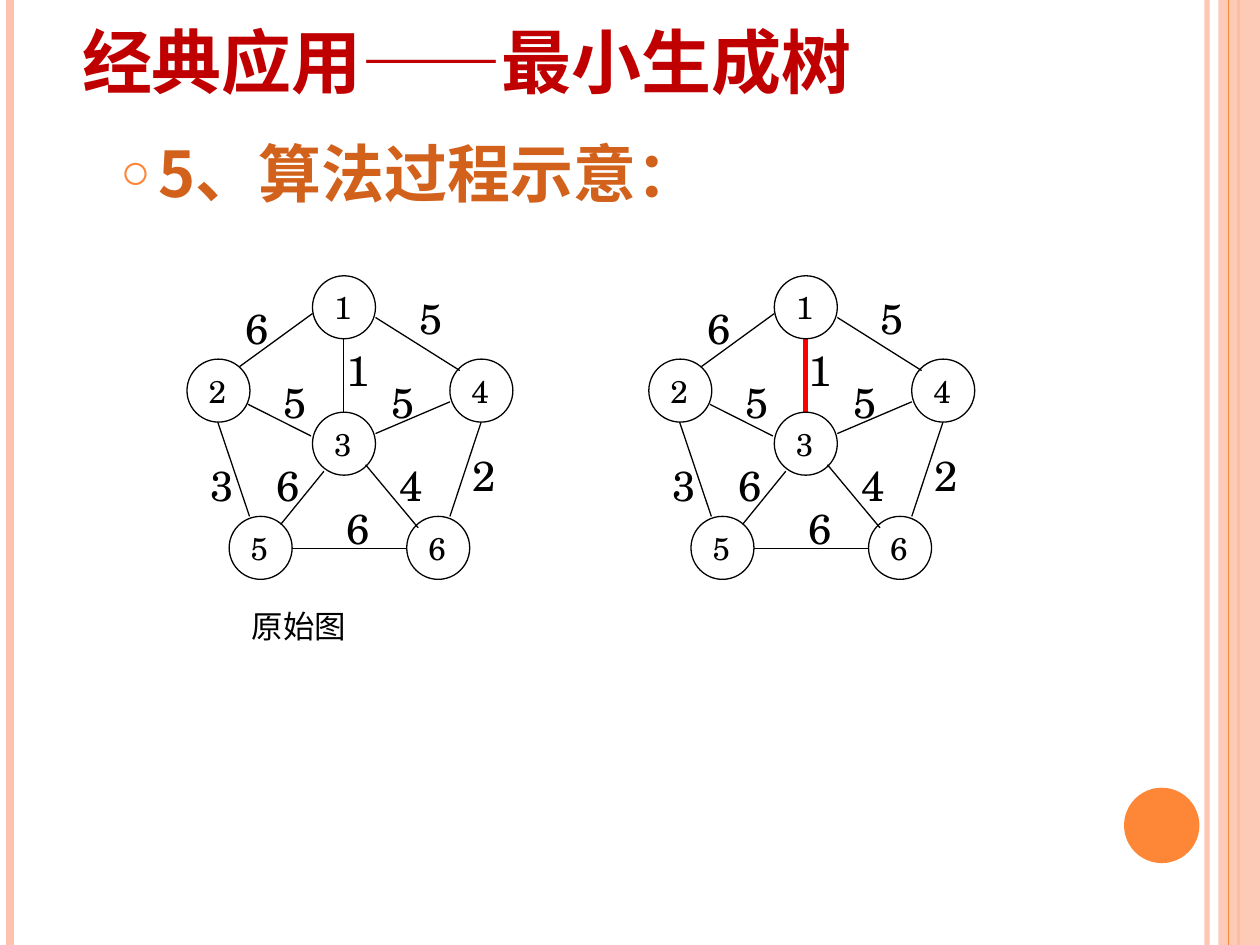
import pptx
import pptx.dml.color
import pptx.enum.shapes
import pptx.enum.text
import pptx.oxml.ns
import pptx.util
from lxml import etree
from pptx.util import Cm, Pt

ANCHOR = pptx.enum.text.MSO_ANCHOR
ALIGN = pptx.enum.text.PP_ALIGN
AUTO_SIZE = pptx.enum.text.MSO_AUTO_SIZE
SHAPE = pptx.enum.shapes.MSO_SHAPE
qn = pptx.oxml.ns.qn

SERIF, CHINESE = "TeX Gyre Schola", "Noto Sans CJK SC"
BLACK, RED, ORANGE, PEACH = "000000", "FF0000", "FE8637", "FEC3AE"

NODE_SIZE = 1.27
NODES = {"1": (6.3, 5.56), "2": (3.77, 7.24), "3": (6.3, 8.31),
         "4": (9.07, 7.24), "5": (4.62, 10.41), "6": (8.2, 10.41)}
# nodes joined, weight, line ends, top left of the weight label
EDGES = [
    ("12", "6", (4.83, 7.39, 6.3, 6.32), (4.7, 5.97)),
    ("35", "6", (5.66, 10.57, 6.53, 9.5), (5.33, 9.14)),
    ("34", "5", (7.57, 8.74, 9.07, 8.1), (7.65, 7.47)),
    ("23", "5", (5, 8.15, 6.27, 8.79), (5.46, 7.47)),
    ("14", "5", (7.57, 6.4, 9.27, 7.47), (8.2, 5.77)),
    ("46", "2", (9.07, 10.41, 9.7, 8.51), (9.27, 8.94)),
    ("25", "3", (5.03, 10.41, 4.39, 8.51), (3.99, 9.14)),
    ("56", "6", (5.89, 11.05, 8.2, 11.05), (6.73, 10.01)),
    ("13", "1", (6.93, 8.31, 6.93, 6.83), (6.73, 6.83)),
    ("36", "4", (7.37, 9.37, 8.43, 10.64), (7.8, 9.14)),
]


def color(value):
    return pptx.dml.color.RGBColor.from_string(value)


def add_text(paragraph, text, size=18, font=SERIF, fill=BLACK, bold=False):
    run = paragraph.add_run()
    run.text = text
    run.font.size = Pt(size)
    run.font.name = font
    run.font.bold = bold
    run.font.color.rgb = color(fill)
    latin = run.font._element.find(qn("a:latin"))
    east_asian = etree.Element(qn("a:ea"), typeface=CHINESE)
    latin.addnext(east_asian)


def set_opacity(shape, percent):
    for element in shape._element.spPr.iter(qn("a:srgbClr")):
        etree.SubElement(element, qn("a:alpha"), val=str(percent * 1000))


def add_bullet(paragraph, character, fill, indent):
    properties = paragraph._p.get_or_add_pPr()
    properties.set("marL", str(Cm(indent)))
    properties.set("indent", str(-Cm(indent)))
    bullet_color = etree.SubElement(properties, qn("a:buClr"))
    etree.SubElement(bullet_color, qn("a:srgbClr"), val=fill)
    etree.SubElement(properties, qn("a:buSzPct"), val="80000")
    etree.SubElement(properties, qn("a:buFont"), typeface="Arial")
    etree.SubElement(properties, qn("a:buChar"), char=character)


class SlideBuilder:
    def __init__(self, slide):
        self.slide = slide

    def title(self, runs, left, top, width, height):
        """Fill the title with (text, font) runs."""
        title = self.slide.shapes.title
        title.left, title.top = Cm(left), Cm(top)
        title.width, title.height = Cm(width), Cm(height)
        frame = title.text_frame
        frame.auto_size = AUTO_SIZE.NONE
        frame.vertical_anchor = ANCHOR.BOTTOM
        paragraph = frame.paragraphs[0]
        paragraph.alignment = ALIGN.LEFT
        for text, font in runs:
            add_text(paragraph, text, size=40, font=font, fill="C00000", bold=True)

    def line(self, x1, y1, x2, y2, fill=BLACK, width=0.75):
        line = self.slide.shapes.add_connector(
            pptx.enum.shapes.MSO_CONNECTOR.STRAIGHT, Cm(x1), Cm(y1), Cm(x2), Cm(y2))
        line.line.color.rgb = color(fill)
        line.line.width = Pt(width)
        etree.SubElement(line._element.spPr, qn("a:effectLst"))
        return line

    def shape(self, kind, left, top, width, height, fill=None, outline=None):
        shape = self.slide.shapes.add_shape(
            kind, Cm(left), Cm(top), Cm(width), Cm(height))
        shape.shadow.inherit = False
        if fill:
            shape.fill.solid()
            shape.fill.fore_color.rgb = color(fill)
        else:
            shape.fill.background()
        if outline:
            shape.line.color.rgb = color(outline)
            shape.line.width = Pt(0.75)
        else:
            shape.line.fill.background()
        return shape

    def text_box(self, text, left, top, width, height, **text_format):
        box = self.slide.shapes.add_textbox(Cm(left), Cm(top), Cm(width), Cm(height))
        box.text_frame.word_wrap = True
        paragraph = box.text_frame.paragraphs[0]
        add_text(paragraph, text, **text_format)
        return paragraph

    def node(self, name, left, top):
        circle = self.shape(SHAPE.OVAL, left, top, NODE_SIZE, NODE_SIZE, outline=BLACK)
        frame = circle.text_frame
        frame.word_wrap = False
        frame.vertical_anchor = ANCHOR.MIDDLE
        paragraph = frame.paragraphs[0]
        paragraph.alignment = ALIGN.LEFT
        add_text(paragraph, name)

    def graph(self, offset=0, tree=()):
        """Draw the weighted graph, with the edges of the tree in red."""
        for ends, weight, (x1, y1, x2, y2), (left, top) in EDGES:
            style = {"fill": RED, "width": 3} if ends in tree else {}
            self.line(x1 + offset, y1, x2 + offset, y2, **style)
            self.text_box(weight, left + offset, top, 0.84, 1.27, size=24)
        for name, (left, top) in NODES.items():
            self.node(name, left + offset, top)

    def decoration(self):
        for x, fill, width, opacity in [
                (24.33, PEACH, 3, 93), (0.2, PEACH, 4.5, 100), (24.97, ORANGE, 1.5, 100)]:
            set_opacity(self.line(x, 0, x, 19.05, fill, width), opacity)
        set_opacity(self.shape(SHAPE.RECTANGLE, 24.56, 0, 0.84, 19.05, fill=PEACH), 87)
        # The two thin lines frame the band
        self.line(24.77, 0, 24.77, 19.05, ORANGE, 0.75)
        self.shape(SHAPE.OVAL, 22.66, 15.88, 1.52, 1.52, fill=ORANGE)


def main():
    presentation = pptx.Presentation()
    presentation.slide_width, presentation.slide_height = Cm(25.4), Cm(19.05)
    slide = presentation.slides.add_slide(presentation.slide_layouts[5])
    builder = SlideBuilder(slide)
    builder.decoration()
    builder.title([("经典应用", SERIF), ("——", "Arial"), ("最小生成树", SERIF)],
                  1.4, -0.99, 20.75, 3.18)
    heading = builder.text_box("5、算法过程示意：", 2.18, 2.59, 16.51, 2.11,
                               size=36, font=CHINESE, fill="D2611C", bold=True)
    add_bullet(heading, "○", ORANGE, 0.76)
    builder.graph()
    builder.text_box("原始图", 4.83, 12.12, 4.45, 1.02)
    builder.graph(offset=9.31, tree=["13"])
    presentation.save("out.pptx")


if __name__ == "__main__":
    main()
